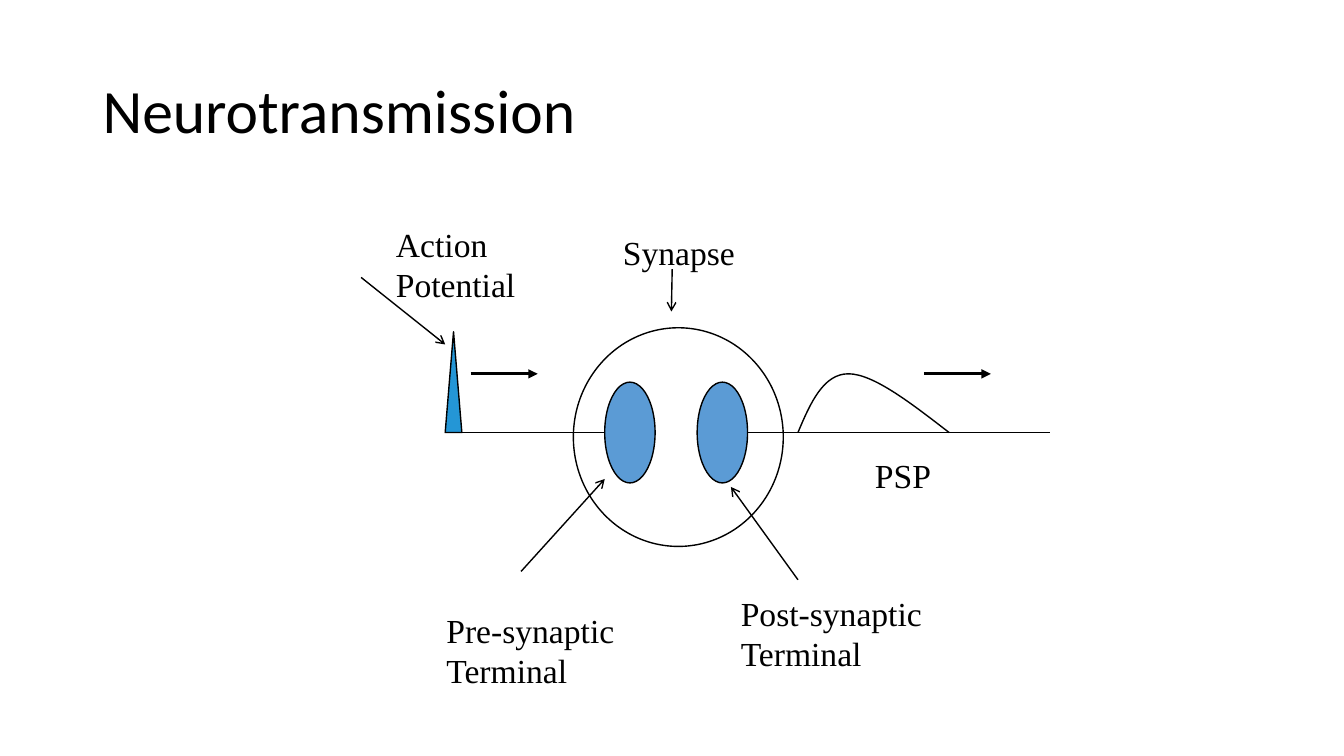
from lxml import etree
from pptx import Presentation
from pptx.dml.color import RGBColor
from pptx.enum.shapes import MSO_CONNECTOR, MSO_SHAPE
from pptx.enum.text import MSO_ANCHOR, MSO_AUTO_SIZE, PP_ALIGN
from pptx.oxml.ns import qn
from pptx.util import Cm, Pt

STRAIGHT = MSO_CONNECTOR.STRAIGHT
OVAL = MSO_SHAPE.OVAL
TRIANGLE = MSO_SHAPE.ISOSCELES_TRIANGLE
MIDDLE = MSO_ANCHOR.MIDDLE
LEFT = PP_ALIGN.LEFT
FIXED = MSO_AUTO_SIZE.NONE
GROW = MSO_AUTO_SIZE.SHAPE_TO_FIT_TEXT

COLORS = {"ink": "000000", "terminal": "5B9BD5", "spike": "2496D6"}
TITLE_FONT = "Calibri"
LABEL_FONT = "Times New Roman"

AXON_Y = 10.9
PULSE_Y = 9.42


def color(name):
    return RGBColor.from_string(COLORS[name])


def add_span(para, text, font, size):
    span = para.add_run()
    span.text = text
    span.font.name = font
    span.font.size = Pt(size)
    span.font.color.rgb = color("ink")


def set_title(page, text):
    title = page.shapes.title
    title.left, title.top, title.width, title.height = map(Cm, (2.33, 1.01, 29.21, 3.68))
    frame = title.text_frame
    frame.auto_size = FIXED
    frame.vertical_anchor = MIDDLE
    para = frame.paragraphs[0]
    para.alignment = LEFT
    para.line_spacing = 0.9
    add_span(para, text, TITLE_FONT, 44)


def add_label(page, place, *lines):
    frame = page.shapes.add_textbox(*map(Cm, place)).text_frame
    frame.word_wrap = False
    frame.auto_size = GROW
    for index, text in enumerate(lines):
        para = frame.add_paragraph() if index else frame.paragraphs[0]
        add_span(para, text, LABEL_FONT, 24)


def style_shape(shape, fill=None):
    shape.shadow.inherit = False
    shape.line.color.rgb = color("ink")
    shape.line.width = Pt(1)
    if fill:
        shape.fill.solid()
        shape.fill.fore_color.rgb = color(fill)
    else:
        shape.fill.background()


def add_figure(page, kind, place, fill=None):
    style_shape(page.shapes.add_shape(kind, *map(Cm, place)), fill)


def add_line(page, start, end, width=1, head=None):
    line = page.shapes.add_connector(STRAIGHT, *map(Cm, start + end))
    line.line.color.rgb = color("ink")
    line.line.width = Pt(width)
    if head:
        etree.SubElement(line.line._get_or_add_ln(), qn("a:tailEnd"), type=head)
    etree.SubElement(line._element.spPr, qn("a:effectLst"))


def add_curve(page, start, points):
    """Draw an open Bézier curve; every three points make one segment."""
    builder = page.shapes.build_freeform(*map(Cm, start))
    builder.add_line_segments([(Cm(x), Cm(y)) for x, y in points], close=False)
    curve = builder.convert_to_shape()
    steps = curve._element.xpath(".//a:lnTo")
    for index in range(0, len(steps), 3):
        first = steps[index]
        bend = etree.Element(qn("a:cubicBezTo"))
        first.addprevious(bend)
        for step in steps[index:index + 3]:
            bend.append(step[0])
            step.getparent().remove(step)
    style_shape(curve)


def main():
    deck = Presentation()
    deck.slide_width, deck.slide_height = Cm(33.87), Cm(19.05)
    page = deck.slides.add_slide(deck.slide_layouts[5])
    set_title(page, "Neurotransmission")

    for left, right in ((11.22, 15.24), (18.84, 26.46)):
        add_line(page, (left, AXON_Y), (right, AXON_Y))
    for left in (15.24, 17.57):
        add_figure(page, OVAL, (left, AXON_Y - 1.27, 1.27, 2.54), "terminal")
    add_figure(page, TRIANGLE, (11.22, AXON_Y - 2.54, 0.42, 2.54), "spike")
    add_curve(page, (20.11, AXON_Y), [
        (20.42, 10.16), (20.75, PULSE_Y), (21.38, PULSE_Y),
        (22.01, PULSE_Y), (22.96, 10.16), (23.92, AXON_Y),
    ])
    for left in (11.86, 23.28):
        add_line(page, (left, PULSE_Y), (left + 1.69, PULSE_Y), 2.25, "triangle")
    add_figure(page, OVAL, (14.45, 8.26, 5.29, 5.51))

    pointers = [
        ((9.1, 6.99), (11.22, 8.68)),
        ((16.94, 6.78), (16.92, 7.85)),
        ((13.13, 14.4), (15.24, 12.07)),
        ((20.11, 14.61), (18.42, 12.27)),
    ]
    for start, end in pointers:
        add_line(page, start, end, head="arrow")

    add_label(page, (21.8, 11.33, 1.93, 1.28), "PSP")
    add_label(page, (9.73, 5.51, 3.56, 2.31), "Action", "Potential")
    add_label(page, (15.45, 5.72, 3.35, 1.28), "Synapse")
    add_label(page, (11, 15.24, 4.78, 2.31), "Pre-synaptic", "Terminal")
    add_label(page, (18.42, 14.81, 5.11, 2.31), "Post-synaptic", "Terminal")
    deck.save("out.pptx")


if __name__ == "__main__":
    main()
